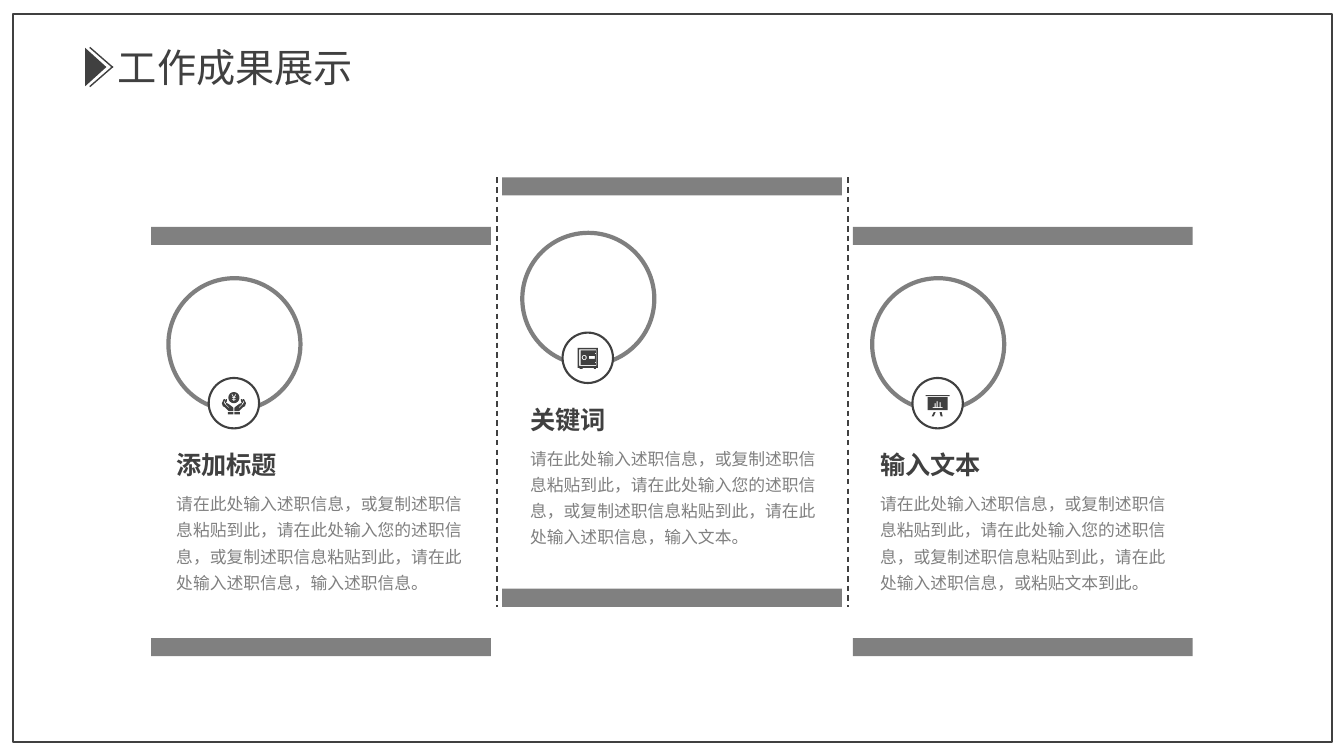
import math

from lxml import etree
from pptx import Presentation
from pptx.dml.color import RGBColor
from pptx.enum import dml, shapes, text
from pptx.oxml import ns
from pptx.util import Inches, Pt

FONT = "Noto Sans CJK SC"
COLORS = {"dark": "404040", "gray": "808080", "ring": "7F7F7F", "white": "FFFFFF"}
LEAD = "请在此处输入述职信息，或复制述职信息粘贴到此，请在此处输入您的述职信息，或复制述职信息粘贴到此，请在此处输入述职信息，"


def rgb(name):
    return RGBColor.from_string(COLORS[name])


def box(left, top, right, bottom):
    return [(left, top), (right, top), (right, bottom), (left, bottom)]


def disc(cx, cy, radius, steps=24):
    angles = [2 * math.pi * i / steps for i in range(steps)]
    return [(cx + radius * math.cos(a), cy + radius * math.sin(a)) for a in angles]


def mirrored(contours):
    return [[(50 - x, y) for x, y in contour] for contour in contours]


HAND = [
    [(15, 21), (16, 21), (16, 22), (15, 24), (16, 26), (19, 29), (20, 30), (20, 29),
     (17, 26), (17, 25), (18, 25), (20, 26), (24, 29), (24.5, 30), (24.5, 33),
     (20, 33), (19, 32), (16, 29), (14, 28), (13, 25)],
    [(17, 21), (18, 21), (18, 23), (17, 25), (16, 24.5), (16, 23)],
    box(19, 34, 24.5, 36),
]
YEN = [(22.5, 16), (23.5, 16), (25, 18.7), (26.5, 16), (27.5, 16), (25.8, 19.3),
       (27, 19.3), (27, 20), (25.5, 20), (25.5, 20.7), (27, 20.7), (27, 21.4),
       (25.5, 21.4), (25.5, 23), (24.5, 23), (24.5, 21.4), (23, 21.4), (23, 20.7),
       (24.5, 20.7), (24.5, 20), (23, 20), (23, 19.3), (24.2, 19.3)]
HANDS_ICON = HAND + mirrored(HAND) + [disc(25, 19.5, 5.5), YEN]

SAFE_ICON = [
    [(15, 15), (35, 15), (35, 35), (33, 35), (33, 36), (31, 36), (31, 35),
     (20, 35), (20, 36), (17, 36), (17, 35), (15, 35)],
    box(16.5, 16.5, 33.5, 33),
    [(18, 17.5), (33, 17.5), (33, 20), (32, 20), (32, 21), (33, 21), (33, 29),
     (32, 29), (32, 30), (33, 30), (33, 32), (18, 32)],
    disc(21.5, 24.7, 2.5), disc(21.5, 24.7, 1.5), box(26, 23, 32, 26),
]

BOARD_ICON = [
    box(13, 17, 37, 18), box(15, 19, 35, 32),
    [(20, 30), (20, 29), (22, 29), (22, 25), (23, 25), (23, 29), (24, 29), (24, 23),
     (25, 23), (25, 29), (27, 29), (27, 24), (28, 24), (28, 29), (30, 29), (30, 30)],
    [(21, 34), (23, 34), (21, 38), (19, 38)],
    [(27, 34), (29, 34), (30, 38), (28, 38)],
]

COLUMNS = [
    (1.5, 2.25, 1.67, 2.76, HANDS_ICON, "添加标题", 1.2, "输入述职信息。"),
    (4.98, 1.76, 5.18, 2.31, SAFE_ICON, "关键词", 0.95, "输入文本。"),
    (8.46, 2.25, 8.65, 2.76, BOARD_ICON, "输入文本", 1.2, "或粘贴文本到此。"),
]


def style(sp, fill=None, line=None, weight=1):
    sp.shadow.inherit = False
    if fill:
        sp.fill.solid()
        sp.fill.fore_color.rgb = rgb(fill)
    else:
        sp.fill.background()
    if line:
        sp.line.color.rgb = rgb(line)
        sp.line.width = Pt(weight)
    else:
        sp.line.fill.background()


def add_preset(s, kind, left, top, width, height, **look):
    sp = s.shapes.add_shape(kind, Inches(left), Inches(top), Inches(width), Inches(height))
    style(sp, **look)
    return sp


def add_line(s, x1, y1, x2, y2, dashed=False):
    line = s.shapes.add_connector(shapes.MSO_CONNECTOR.STRAIGHT,
                                  Inches(x1), Inches(y1), Inches(x2), Inches(y2))
    line.line.color.rgb = rgb("dark")
    line.line.width = Pt(1)
    if dashed:
        line.line.dash_style = dml.MSO_LINE.DASH
    etree.SubElement(line._element.spPr, ns.qn("a:effectLst"))


def add_icon(s, left, top, contours):
    scaled = [[(10 * x, 10 * y) for x, y in contour] for contour in contours]
    builder = s.shapes.build_freeform(*scaled[0][0], scale=Inches(0.001))
    builder.add_line_segments(scaled[0][1:], close=True)
    for contour in scaled[1:]:
        builder.move_to(*contour[0])
        builder.add_line_segments(contour[1:], close=True)
    style(builder.convert_to_shape(Inches(left), Inches(top)), fill="dark")


def add_run(p, words, size, color, bold=False):
    r = p.add_run()
    r.text = words
    r.font.size = Pt(size)
    r.font.bold = bold
    r.font.color.rgb = rgb(color)
    r.font.name = FONT
    etree.SubElement(r._r.get_or_add_rPr(), ns.qn("a:ea")).set("typeface", FONT)


def add_text(s, left, top, width, height, words, size, color, bold=False, wrap=True):
    tf = s.shapes.add_textbox(Inches(left), Inches(top), Inches(width), Inches(height)).text_frame
    tf.word_wrap = wrap
    tf.auto_size = text.MSO_AUTO_SIZE.SHAPE_TO_FIT_TEXT
    p = tf.paragraphs[0]
    add_run(p, words, size, color, bold)
    return p


def add_title(s, words):
    add_line(s, 1.12, 0.66, 0.89, 0.86)
    add_line(s, 1.12, 0.67, 0.89, 0.47)
    arrow = add_preset(s, shapes.MSO_SHAPE.ISOSCELES_TRIANGLE, 0.76, 0.56, 0.38, 0.21, fill="dark")
    arrow.rotation = 90
    title = s.shapes.title
    title.left, title.top = Inches(1.07), Inches(0.38)
    title.width, title.height = Inches(4.29), Inches(0.57)
    tf = title.text_frame
    tf.word_wrap = True
    tf.auto_size = text.MSO_AUTO_SIZE.SHAPE_TO_FIT_TEXT
    tf.vertical_anchor = text.MSO_ANCHOR.TOP
    p = tf.paragraphs[0]
    p.alignment = text.PP_ALIGN.LEFT
    add_run(p, words, 28, "dark")


def add_column(s, left, top, ring_x, ring_y, icon, heading, heading_width, ending):
    for bar_y in (top, top + 4.08):
        add_preset(s, shapes.MSO_SHAPE.RECTANGLE, left, bar_y, 3.37, 0.18, fill="gray")
    add_preset(s, shapes.MSO_SHAPE.OVAL, ring_x, ring_y, 1.31, 1.31, line="ring", weight=3)
    badge_x, badge_y = ring_x + 0.4, ring_y + 0.99
    add_preset(s, shapes.MSO_SHAPE.OVAL, badge_x, badge_y, 0.5, 0.5,
               fill="white", line="dark", weight=1.5)
    add_icon(s, badge_x, badge_y, icon)
    text_x = ring_x - 0.02
    add_text(s, text_x, ring_y + 1.65, heading_width, 0.4, heading, 18, "dark",
             bold=True, wrap=False)
    body = add_text(s, text_x, ring_y + 2.03, 3.07, 1.15, LEAD + ending, 12, "gray")
    body.line_spacing = 1.3


def main():
    prs = Presentation()
    prs.slide_width, prs.slide_height = Inches(13.33), Inches(7.5)
    s = prs.slides.add_slide(prs.slide_layouts[5])
    add_title(s, "工作成果展示")
    add_preset(s, shapes.MSO_SHAPE.RECTANGLE, 0.13, 0.14, 13.08, 7.22, line="dark")
    for x in (4.93, 8.41):
        add_line(s, x, 1.76, x, 6.02, dashed=True)
    for column in COLUMNS:
        add_column(s, *column)
    prs.save("out.pptx")


if __name__ == "__main__":
    main()
